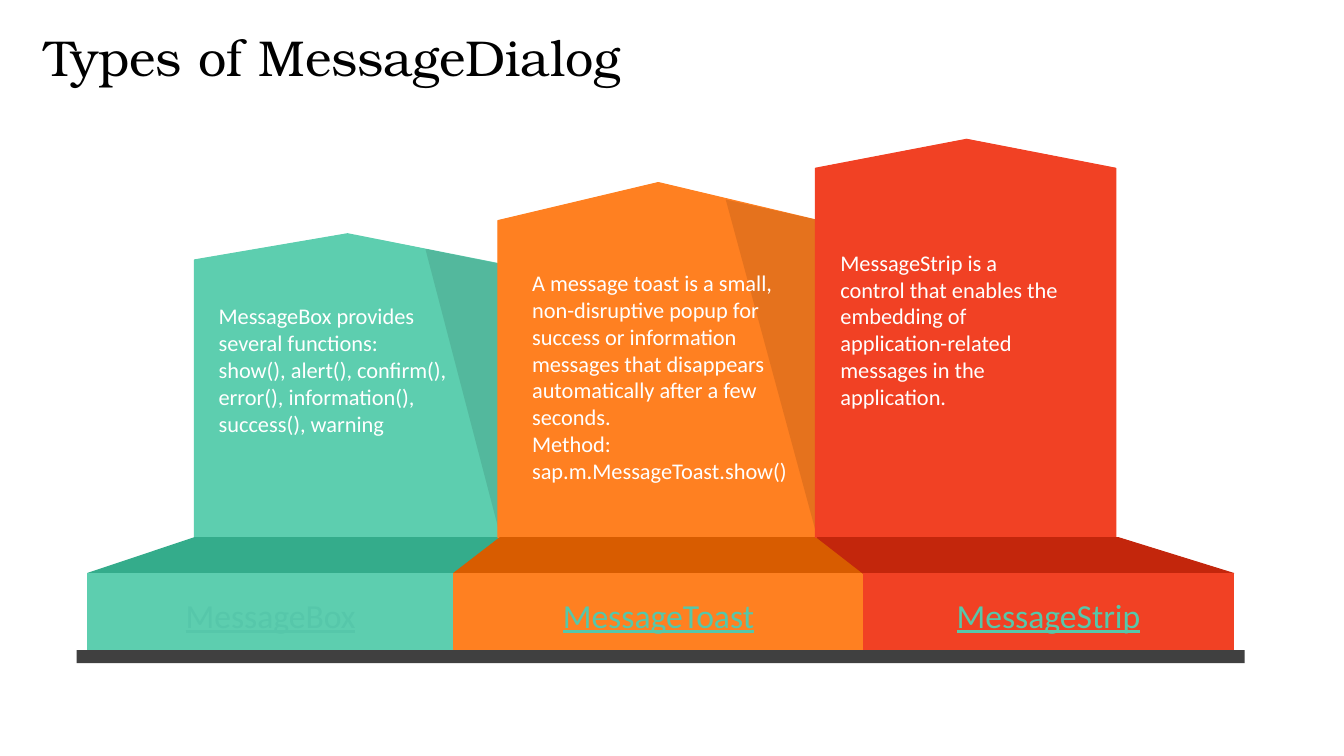
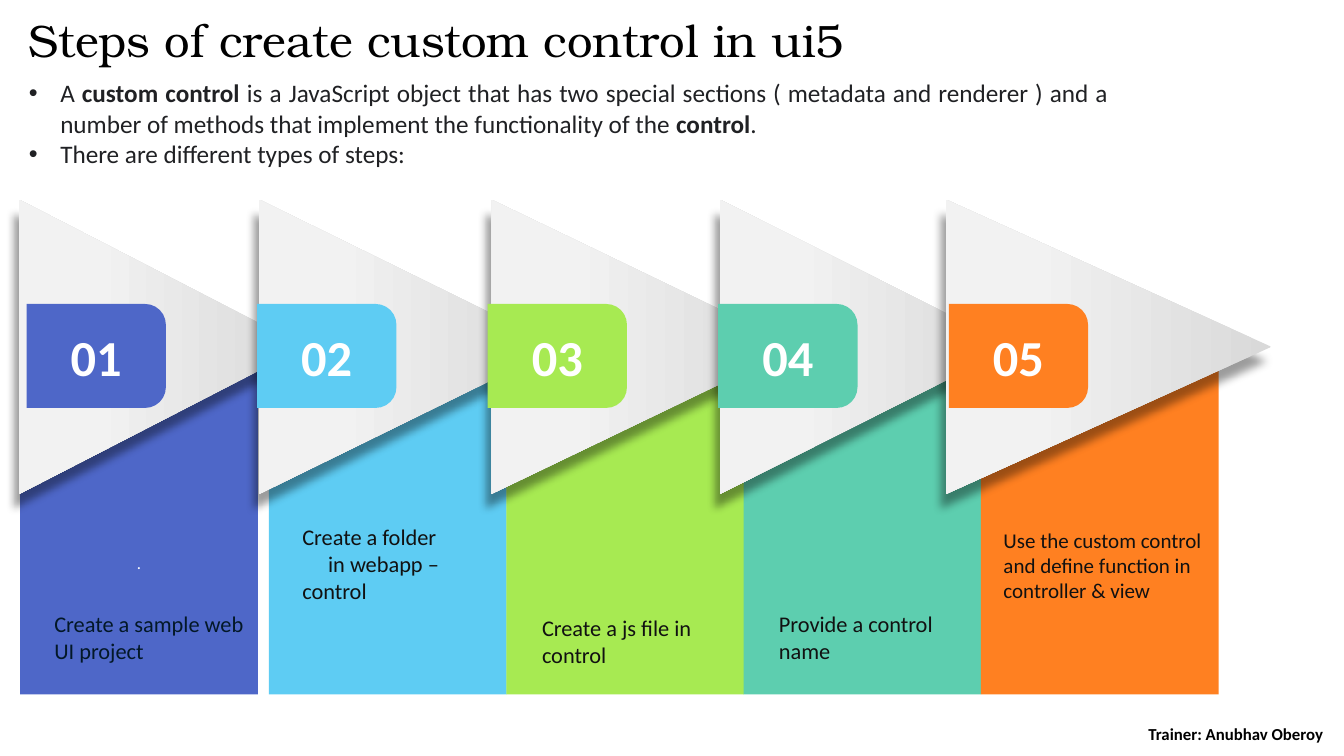
from dataclasses import dataclass
from typing import NamedTuple

from lxml import etree
from pptx import Presentation
from pptx import util as u
from pptx.dml.color import RGBColor
from pptx.enum import shapes, text
from pptx.oxml import ns
from pptx.util import Cm

# Shared colours and fonts
WHITE = RGBColor(0xFF, 0xFF, 0xFF)
BLACK = RGBColor(0x00, 0x00, 0x00)
INK = RGBColor(0x11, 0x11, 0x11)
NAVY_INK = RGBColor(0x03, 0x18, 0x28)
BODY_INK = RGBColor(0x20, 0x21, 0x24)
LABEL_GREEN = RGBColor(0x56, 0xC7, 0xAA)
GREEN = RGBColor(0x5D, 0xCE, 0xAF)
DARK_GREEN = RGBColor(0x34, 0xAC, 0x8B)
ORANGE = RGBColor(0xFF, 0x80, 0x21)
DARK_ORANGE = RGBColor(0xD8, 0x5C, 0x00)
RED = RGBColor(0xF1, 0x41, 0x24)
DARK_RED = RGBColor(0xC3, 0x26, 0x0C)
BLUE = RGBColor(0x4E, 0x67, 0xC8)
SKY = RGBColor(0x5E, 0xCC, 0xF3)
LIME = RGBColor(0xA7, 0xEA, 0x52)
CHARCOAL = RGBColor(0x40, 0x40, 0x40)
TIP_GRAY = RGBColor(0xD9, 0xD9, 0xD9)
PALE_GRAY = RGBColor(0xF2, 0xF2, 0xF2)
BODY_FONT = "Calibri"
TITLE_FONT = "TeX Gyre Bonum"

LEFT, CENTER, RIGHT, JUSTIFY = (text.PP_ALIGN.LEFT, text.PP_ALIGN.CENTER,
                                text.PP_ALIGN.RIGHT, text.PP_ALIGN.JUSTIFY)
TOP, MIDDLE = text.MSO_ANCHOR.TOP, text.MSO_ANCHOR.MIDDLE


class Box(NamedTuple):
    """A frame in centimetres."""
    left: float
    top: float
    width: float
    height: float


class Run(NamedTuple):
    words: str
    bold: bool = False


class Para(NamedTuple):
    runs: tuple
    indent: float = 0
    bullet: bool = False


@dataclass(frozen=True)
class Style:
    size: float
    color: RGBColor
    bold: bool = False
    underline: bool = False
    font: str = BODY_FONT
    align: text.PP_ALIGN = LEFT
    anchor: text.MSO_ANCHOR = TOP
    inset: tuple = (0.25, 0.13)
    spacing: float = 1


@dataclass(frozen=True)
class Pillar:
    label: str
    color: RGBColor
    step_color: RGBColor
    tower: tuple
    shade: tuple
    step_top: tuple
    step_base: tuple
    body: Box
    paras: tuple


@dataclass(frozen=True)
class Step:
    color: RGBColor
    panel_left: float
    arrow_left: float
    arrow_width: float
    caption: Box
    paras: tuple
    size: float = 16
    ink: RGBColor = INK


def plain(*lines: str) -> tuple:
    return tuple(Para((Run(line),)) for line in lines)


PILLAR_FOOT, STEP_FOOT = 13.55, 14.45
PILLARS = (
    Pillar("MessageBox", GREEN, DARK_GREEN,
           ((12.6, 6.65), (8.76, 5.89), (4.9, 6.55), (4.9, PILLAR_FOOT), (12.6, PILLAR_FOOT)),
           ((10.72, 6.27), (12.6, 6.65), (12.62, PILLAR_FOOT)),
           (4.9, 12.6), (2.21, 11.43), Box(5.51, 7.62, 6.55, 4.01),
           plain("MessageBox provides several functions:",
                 "show(), alert(), confirm(), error(), information(), success(), warning")),
    Pillar("MessageToast", ORANGE, DARK_ORANGE,
           ((16.59, 4.6), (12.55, 5.56), (12.55, PILLAR_FOOT), (20.55, PILLAR_FOOT), (20.55, 5.54)),
           ((18.29, 5.03), (20.6, 5.54), (20.6, PILLAR_FOOT)),
           (12.6, 20.6), (11.43, 21.76), Box(13.41, 6.78, 6.6, 5.46),
           plain("A message toast is a small, non-disruptive popup for success or information "
                 "messages that disappears automatically after a few seconds.",
                 "Method: sap.m.MessageToast.show()")),
    Pillar("MessageStrip", RED, DARK_RED,
           ((24.36, 3.51), (20.55, 4.24), (20.55, PILLAR_FOOT), (28.12, PILLAR_FOOT), (28.12, 4.24)),
           (), (20.6, 28.19), (21.76, 31.09), Box(21.18, 6.27, 5.61, 4.11),
           plain("MessageStrip is a control that enables the embedding of "
                 "application-related messages in the application.")),
)

STEPS = (
    Step(BLUE, 0.51, 0.48, 7.21, Box(1.12, 15.24, 5.28, 1.63),
         plain("Create a sample web UI project"), ink=NAVY_INK),
    Step(SKY, 6.78, 6.53, 7.57, Box(7.37, 13.06, 4.5, 2.3),
         (Para((Run("Create a folder"),)), Para((Run("in webapp –"),), indent=0.65),
          Para((Run("control"),)))),
    Step(LIME, 12.76, 12.38, 7.72, Box(13.41, 15.34, 4.7, 1.63),
         plain("Create a js file in control")),
    Step(GREEN, 18.74, 18.14, 7.39, Box(19.38, 15.24, 5.13, 1.63),
         plain("Provide a control name")),
    Step(ORANGE, 24.72, 23.84, 8.2, Box(25.04, 13.16, 5.82, 2.3),
         plain("Use the custom control and define function in controller & view"), size=15),
)

INTRO = (
    Para((Run("A "), Run("custom control", True),
          Run(" is a JavaScript object that has two special sections ( metadata and renderer ) "
              "and a number of methods that implement the functionality of the "),
          Run("control", True), Run(".")), 0.79, True),
    Para((Run("There are different types of steps:"),), 0.79, True),
)


def cm(box: Box) -> tuple:
    return tuple(Cm(value) for value in box)


def write(frame, paras: tuple, style: Style) -> None:
    """Fill a text frame run by run."""
    frame.word_wrap = True
    frame.auto_size = text.MSO_AUTO_SIZE.NONE
    frame.vertical_anchor = style.anchor
    frame.margin_left = frame.margin_right = Cm(style.inset[0])
    frame.margin_top = frame.margin_bottom = Cm(style.inset[1])
    for index, item in enumerate(paras):
        para = frame.add_paragraph() if index else frame.paragraphs[0]
        para.alignment = style.align
        para.line_spacing = style.spacing
        props = para._p.get_or_add_pPr()
        if item.indent:
            props.set("marL", str(Cm(item.indent)))
        if item.bullet:
            props.set("indent", str(-Cm(item.indent)))
            etree.SubElement(props, ns.qn("a:buFont"), typeface="Arial")
            etree.SubElement(props, ns.qn("a:buChar"), char="•")
        for run in item.runs:
            span = para.add_run()
            span.text = run.words
            span.font.name = style.font
            span.font.size = u.Pt(style.size)
            span.font.color.rgb = style.color
            span.font.bold = style.bold or run.bold
            span.font.underline = style.underline


def add_text(page, box: Box, paras: tuple, style: Style) -> None:
    write(page.shapes.add_textbox(*cm(box)).text_frame, paras, style)


def add_title_page(deck, box: Box, title: str, size: float, spacing: float):
    page = deck.slides.add_slide(deck.slide_layouts[5])
    holder = page.shapes.title
    holder.left, holder.top, holder.width, holder.height = cm(box)
    write(holder.text_frame, plain(title),
          Style(size, BLACK, font=TITLE_FONT, anchor=MIDDLE, spacing=spacing))
    return page


def paint(shape, color: RGBColor, outlined: bool = False) -> None:
    shape.shadow.inherit = False
    shape.fill.solid()
    shape.fill.fore_color.rgb = color
    if outlined:
        shape.line.color.rgb = color
        shape.line.width = u.Pt(0.75)
    else:
        shape.line.fill.background()


def add_rect(page, box: Box, color: RGBColor, outlined: bool = False):
    rect = page.shapes.add_shape(shapes.MSO_SHAPE.RECTANGLE, *cm(box))
    paint(rect, color, outlined)
    return rect


def add_outline(page, points: tuple, color: RGBColor, outlined: bool = True):
    corners = [(Cm(x), Cm(y)) for x, y in points]
    builder = page.shapes.build_freeform(*corners[0])
    builder.add_line_segments(corners[1:], close=True)
    outline = builder.convert_to_shape()
    paint(outline, color, outlined)
    return outline


def add_turned(page, kind, box: Box):
    """Add a shape turned a quarter clockwise so that it covers the box."""
    left = box.left + (box.width - box.height) / 2
    top = box.top + (box.height - box.width) / 2
    shape = page.shapes.add_shape(kind, *cm(Box(left, top, box.height, box.width)))
    shape.rotation = 90
    return shape


def add_arrow(page, box: Box) -> None:
    arrow = add_turned(page, shapes.MSO_SHAPE.ISOSCELES_TRIANGLE, box)
    paint(arrow, PALE_GRAY)
    arrow.fill.gradient()
    arrow.fill.gradient_angle = 270
    for stop, color, place in zip(arrow.fill.gradient_stops, (TIP_GRAY, PALE_GRAY), (0, 0.74)):
        stop.color.rgb = color
        stop.position = place
    # Soft shadow below the arrow
    effects = arrow._element.spPr.find(ns.qn("a:effectLst"))
    shadow = etree.SubElement(effects, ns.qn("a:outerShdw"), blurRad=str(u.Pt(6)),
                              dist=str(u.Pt(11)), dir=str(110 * 60000), rotWithShape="0")
    tint = etree.SubElement(shadow, ns.qn("a:srgbClr"), val=str(BLACK))
    etree.SubElement(tint, ns.qn("a:alpha"), val="38000")


def add_pillar(page, pillar: Pillar) -> None:
    add_outline(page, pillar.tower, pillar.color)
    if pillar.shade:
        shade = add_outline(page, pillar.shade, BLACK, outlined=False)
        tint = shade._element.spPr.find(".//" + ns.qn("a:srgbClr"))
        etree.SubElement(tint, ns.qn("a:alpha"), val="10000")
    (back_left, back_right), (left, right) = pillar.step_top, pillar.step_base
    add_outline(page, ((back_left, PILLAR_FOOT), (back_right, PILLAR_FOOT),
                       (right, STEP_FOOT), (left, STEP_FOOT)), pillar.step_color)
    front = add_rect(page, Box(left, STEP_FOOT, right - left, 2.08), pillar.color, True)
    write(front.text_frame, plain(pillar.label),
          Style(24, LABEL_GREEN, underline=True, align=CENTER, anchor=MIDDLE))
    add_text(page, pillar.body, pillar.paras, Style(16, WHITE, inset=(0, 0)))


def add_step(page, index: int, step: Step) -> None:
    panel = add_rect(page, Box(step.panel_left, 8.61, 5.99, 8.89), step.color)
    if index == 0:
        write(panel.text_frame, plain("."), Style(12, WHITE, align=CENTER))
        panel.text_frame.margin_top = Cm(5.33)
    add_arrow(page, Box(step.arrow_left, 5.03, step.arrow_width, 7.42))
    # Numbered badge
    place = Box(0.67 + 5.81 * index, 7.66, 3.51, 2.62)
    badge = add_turned(page, shapes.MSO_SHAPE.ROUND_2_SAME_RECTANGLE, place)
    badge.adjustments[0] = 0.2
    paint(badge, step.color)
    add_text(page, place, plain(f"{index + 1:02}"),
             Style(36, WHITE, bold=True, align=CENTER, anchor=MIDDLE, inset=(0, 0)))


def build_types(deck) -> None:
    page = add_title_page(deck, Box(0.86, 0.51, 29.64, 1.8), "Types of MessageDialog", 36, 1)
    for pillar in PILLARS:
        add_pillar(page, pillar)
    add_rect(page, Box(1.93, 16.38, 29.44, 0.33), CHARCOAL)


def build_steps(deck) -> None:
    page = add_title_page(deck, Box(0.48, 0.28, 29.21, 1.6),
                          "Steps of create custom control in ui5", 32.4, 0.9)
    add_text(page, Box(28, 18.21, 5.6, 0.56), plain("Trainer: Anubhav Oberoy"),
             Style(12, BLACK, bold=True, align=RIGHT, anchor=MIDDLE, inset=(0.25, 0)))
    for index, step in enumerate(STEPS):
        add_step(page, index, step)
    for step in STEPS:
        add_text(page, step.caption, step.paras, Style(step.size, step.ink))
    add_text(page, Box(0.48, 1.83, 27.71, 2.57), INTRO, Style(18, BODY_INK, align=JUSTIFY))


def main() -> None:
    deck = Presentation()
    deck.slide_width, deck.slide_height = Cm(33.87), Cm(19.05)
    build_types(deck)
    build_steps(deck)
    deck.save("out.pptx")


if __name__ == "__main__":
    main()
